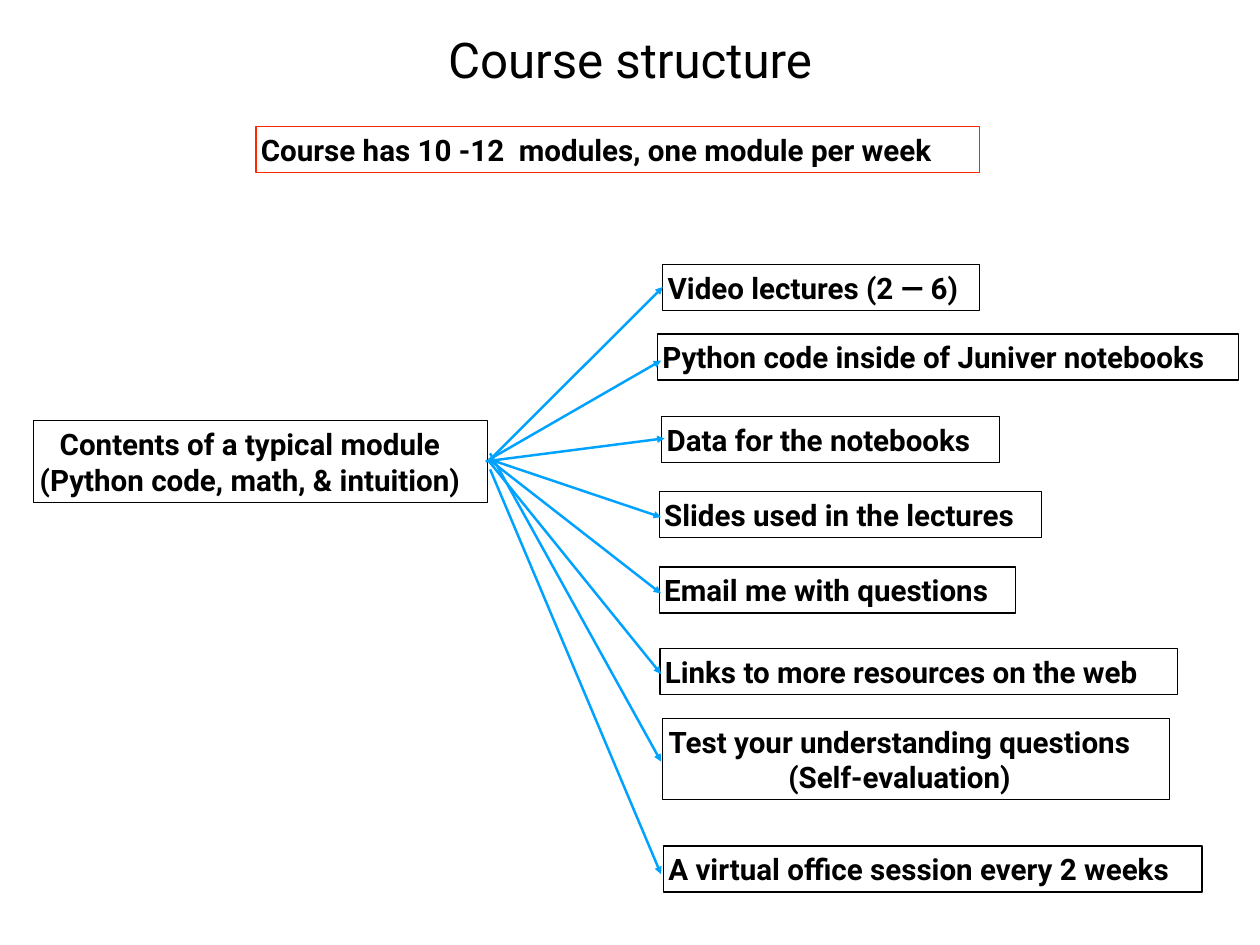
"""Build the course structure slide."""
from lxml import etree
from pptx import Presentation
from pptx import util as u
from pptx.dml.color import RGBColor
from pptx.enum import shapes, text
from pptx.oxml import ns

BLACK, RED, BLUE = "000000", "FF2600", "00A2FF"
LEFT, CENTER = text.PP_ALIGN.LEFT, text.PP_ALIGN.CENTER
LINE_HEIGHT, INSET = 1.02, 0.14
FRAME_FORMAT = {
    "margin_left": u.Cm(INSET),
    "margin_right": u.Cm(INSET),
    "margin_top": u.Cm(INSET),
    "margin_bottom": u.Cm(INSET),
    "vertical_anchor": text.MSO_ANCHOR.MIDDLE,
    "word_wrap": True,
}
TITLE_FORMAT = {"name": "Roboto", "size": u.Pt(40), "bold": False}
LABEL_FORMAT = {"name": "Roboto", "size": u.Pt(24), "bold": True}

MODULE_ITEMS = [
    (["Video lectures (2 — 6)"], (19, 7.59, 9.09), (14, 13.23), (19, 8.23)),
    (["Python code inside of Juniver notebooks"], (18.85, 9.58, 16.66), (14.02, 13.18), (18.95, 10.34)),
    (["Data for the notebooks"], (18.97, 11.94, 9.68), (13.92, 13.23), (19.05, 12.57)),
    (["Slides used in the lectures"], (18.9, 14.1, 10.95), (14.05, 13.18), (18.95, 14.83)),
    (["Email me with questions"], (18.9, 16.26, 10.21), (14.02, 13.18), (18.95, 17.02)),
    (["Links to more resources on the web"], (18.92, 18.59, 14.83), (14.02, 13.23), (18.95, 19.33)),
    (["Test your understanding questions", "(Self-evaluation)"],
     (19, 20.6, 14.53, 1.1), (14.05, 13), (18.95, 21.84)),
    (["A virtual office session every 2 weeks"], (19.02, 24.26, 15.44), (14.05, 13.46), (18.95, 25.07)),
]


def color(value):
    """Turn a hex string into a colour."""
    return RGBColor.from_string(value)


def apply_format(target, values):
    """Set each named attribute on the target."""
    for name, value in values.items():
        setattr(target, name, value)


def write_lines(shape, lines, font_format, alignment):
    """Fill a shape with one paragraph per line."""
    frame = shape.text_frame
    apply_format(frame, FRAME_FORMAT)
    frame.text = "\n".join(lines)
    for paragraph in frame.paragraphs:
        paragraph.alignment = alignment
        font = paragraph.runs[0].font
        apply_format(font, font_format)
        font.color.rgb = color(BLACK)


def add_title(slide, title):
    """Add the centred slide title."""
    shape = slide.shapes.add_textbox(u.Cm(2.64), u.Cm(0.71), u.Cm(30.84), u.Cm(1.96))
    write_lines(shape, [title], TITLE_FORMAT, CENTER)


def add_label(slide, lines, box, outline=BLACK):
    """Add an outlined box; box is left, top, width and an optional right inset."""
    left, top, width, *right_inset = box
    height = 2 * INSET + 0.02 + LINE_HEIGHT * len(lines)
    shape = slide.shapes.add_shape(
        shapes.MSO_SHAPE.RECTANGLE, u.Cm(left), u.Cm(top), u.Cm(width), u.Cm(height))
    shape.shadow.inherit = False
    shape.fill.background()
    shape.line.color.rgb = color(outline)
    shape.line.width = u.Pt(1)
    write_lines(shape, lines, LABEL_FORMAT, LEFT if len(lines) == 1 else CENTER)
    for inset in right_inset:
        shape.text_frame.margin_right = u.Cm(inset)


def add_arrow(slide, start, end):
    """Add a blue arrow from start to end."""
    points = [u.Cm(value) for value in (*start, *end)]
    arrow = slide.shapes.add_connector(shapes.MSO_CONNECTOR.STRAIGHT, *points)
    arrow.line.color.rgb = color(BLUE)
    arrow.line.width = u.Pt(2)
    properties = arrow._element.spPr
    etree.SubElement(properties.find(ns.qn("a:ln")), ns.qn("a:tailEnd"), type="triangle")
    etree.SubElement(properties, ns.qn("a:effectLst"))


def main():
    """Build and save the slide."""
    presentation = Presentation()
    apply_format(presentation, {"slide_width": u.Cm(36.12), "slide_height": u.Cm(27.1)})
    slide = presentation.slides.add_slide(presentation.slide_layouts[6])
    add_title(slide, "Course structure")
    add_label(slide, ["Course has 10 -12  modules, one module per week"], (7.34, 3.63, 20.75), RED)
    add_label(slide, ["Contents of a typical module", "(Python code, math, & intuition)"],
              (0.97, 12.07, 13, 0.75))
    for lines, box, start, end in MODULE_ITEMS:
        add_label(slide, lines, box)
        add_arrow(slide, start, end)
    presentation.save("out.pptx")


if __name__ == "__main__":
    main()
